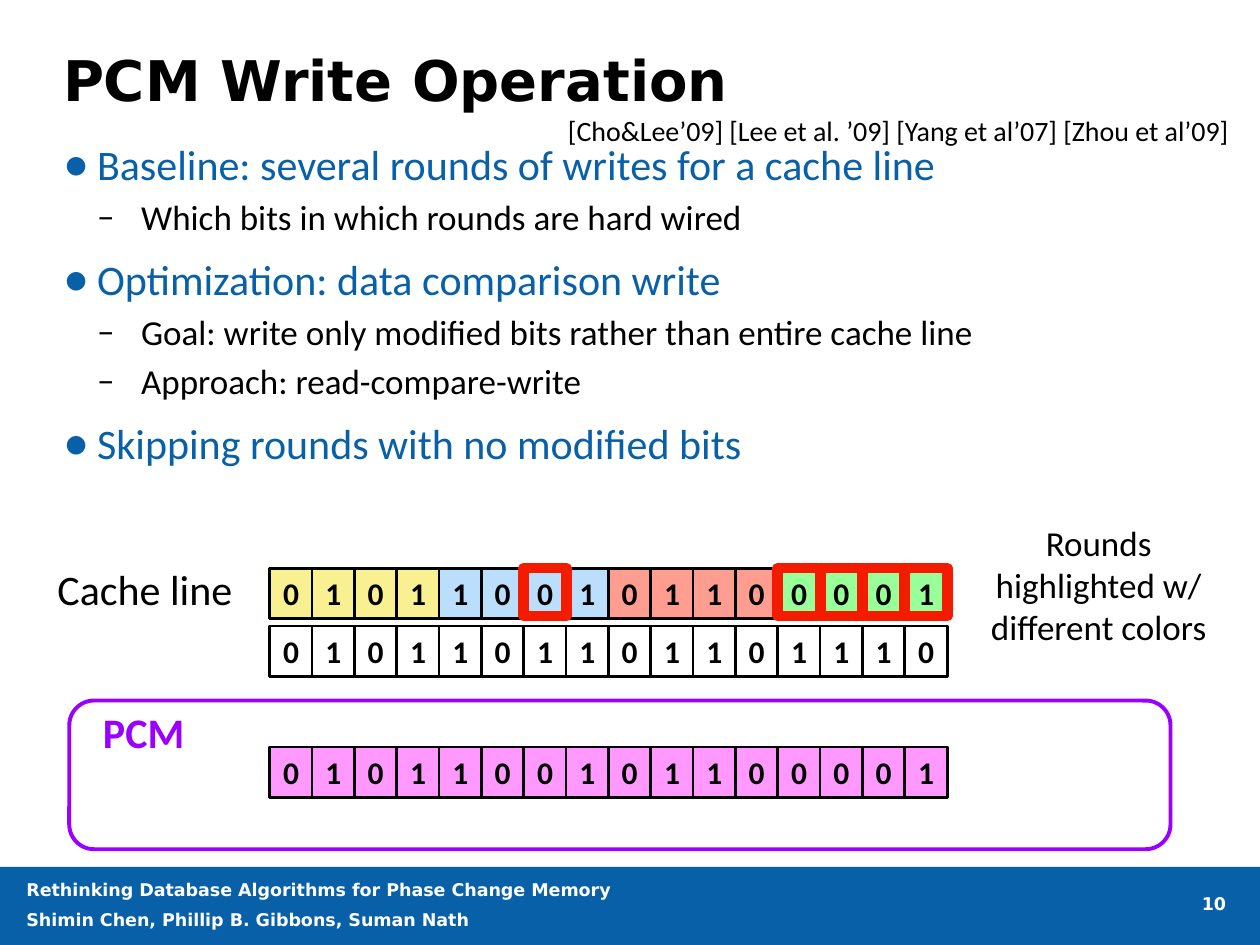
from lxml import etree
from pptx import Presentation
from pptx import util as u
from pptx.dml.color import RGBColor
from pptx.enum import shapes, text
from pptx.oxml.ns import qn

Inches, Pt = u.Inches, u.Pt
SHAPE, ALIGN, ANCHOR = shapes.MSO_SHAPE, text.PP_ALIGN, text.MSO_ANCHOR
rgb = RGBColor.from_string

prs = Presentation()
prs.slide_width, prs.slide_height = Inches(10), Inches(7.5)
s = prs.slides.add_slide(prs.slide_layouts[6])


def add_box(kind, x, y, w, h, fill=None, line=None, weight=1.5):
    sp = s.shapes.add_shape(kind, Inches(x), Inches(y), Inches(w), Inches(h))
    sp.shadow.inherit = False
    if fill:
        sp.fill.solid()
        sp.fill.fore_color.rgb = rgb(fill)
    else:
        sp.fill.background()
    if line:
        sp.line.color.rgb = rgb(line)
        sp.line.width = Pt(weight)
    else:
        sp.line.fill.background()
    return sp


def write(sp, content, size, color="000000", font="Calibri", bold=False,
          align=ALIGN.LEFT, anchor=ANCHOR.TOP, inset=True, wrap=True):
    """Set the text of a shape and give all its paragraphs one format."""
    tf = sp.text_frame
    tf.text = content
    tf.word_wrap = wrap
    tf.vertical_anchor = anchor
    if not inset:
        tf.margin_left = tf.margin_right = tf.margin_top = tf.margin_bottom = 0
    for p in tf.paragraphs:
        p.alignment = align
        for r in p.runs:
            f = r.font
            f.size, f.name, f.bold = Pt(size), font, bold
            f.color.rgb = rgb(color)
    return tf


# Title and footer
add_box(SHAPE.RECTANGLE, 0, 6.88, 10, 0.62, "0860A8")
title = s.shapes.add_textbox(Inches(0.5), Inches(0.3), Inches(9.01), Inches(0.65))
write(title, "PCM Write Operation", 32, font="DejaVu Sans", bold=True,
      anchor=ANCHOR.MIDDLE, inset=False)
footer = s.shapes.add_textbox(Inches(0.21), Inches(6.98), Inches(6.52), Inches(0.42))
tf = write(footer, "Rethinking Database Algorithms for Phase Change Memory\n"
           "Shimin Chen, Phillip B. Gibbons, Suman Nath", 10, "FFFFFF",
           "DejaVu Sans", True, inset=False)
tf.paragraphs[1].space_before = Pt(5)
number = s.shapes.add_textbox(Inches(9.28), Inches(7.09), Inches(0.45), Inches(0.24))
write(number, "10", 10, "FFFFFF", "DejaVu Sans", True, ALIGN.RIGHT, inset=False)

# Bulleted body
bullets = [
    (0, "Baseline: several rounds of writes for a cache line"),
    (1, "Which bits in which rounds are hard wired"),
    (0, "Optimization: data comparison write"),
    (1, "Goal: write only modified bits rather than entire cache line"),
    (1, "Approach: read-compare-write"),
    (0, "Skipping rounds with no modified bits"),
]
# per level: size, colour, space before, left margin, hanging indent, bullet, bullet scale
levels = [(24, "0860A8", 8.8, 0.27, 0.27, "•", 125), (20, "000000", 4, 0.62, 0.35, "–", 100)]
body = s.shapes.add_textbox(Inches(0.5), Inches(1.1), Inches(9.01), Inches(3.23))
tf = write(body, "\n".join(t for _, t in bullets), 24, inset=False)
for i, (p, (level, _)) in enumerate(zip(tf.paragraphs, bullets)):
    size, color, before, left, hang, mark, scale = levels[level]
    p.level = level
    p.space_before = Pt(before if i else 0)
    p.runs[0].font.size = Pt(size)
    p.runs[0].font.color.rgb = rgb(color)
    pPr = p._p.get_or_add_pPr()
    pPr.set("marL", str(Inches(left)))
    pPr.set("indent", str(-Inches(hang)))
    etree.SubElement(pPr, qn("a:buSzPct")).set("val", str(scale * 1000))
    etree.SubElement(pPr, qn("a:buFont")).set("typeface", "Calibri")
    etree.SubElement(pPr, qn("a:buChar")).set("char", mark)

# Memory frame and bit rows
add_box(SHAPE.ROUNDED_RECTANGLE, 0.55, 5.56, 8.74, 1.18, line="9900FF", weight=2.25)
row_left, pitch, cell_w = 2.14, 5.04 / 15, 0.34
round_fills = ["F9F091", "BADEFC", "FF9D91", "99FF99"]
rows = [
    (4.51, "0101100101100001", round_fills),
    (4.97, "0101101101101110", ["FFFFFF"] * 4),
    (5.93, "0101100101100001", ["FF99FF"] * 4),
]
for top, bits, fills in rows:
    for i, bit in enumerate(bits):
        cell = add_box(SHAPE.RECTANGLE, row_left + i * pitch, top, cell_w, 0.4,
                       fills[i // 4], "000000")
        write(cell, bit, 18, bold=True, align=ALIGN.CENTER, anchor=ANCHOR.MIDDLE, wrap=False)

# Outline the bits that differ between the cache line and the stored line
for i, (new, old) in enumerate(zip(rows[0][1], rows[1][1])):
    if new != old:
        add_box(SHAPE.RECTANGLE, row_left + i * pitch, 4.51, cell_w, 0.38,
                line="F41C00", weight=6)

# Labels
labels = [
    (0.55, 5.56, 1.18, 0.5, "PCM", 24, "9900FF", True, ALIGN.CENTER),
    (4.41, 0.85, 5.46, 0.37, "[Cho&Lee’09] [Lee et al. ’09] [Yang et al’07] [Zhou et al’09]",
     16, "000000", False, ALIGN.LEFT),
    (0.29, 4.42, 1.72, 0.5, "Cache line", 24, "000000", False, ALIGN.CENTER),
    (7.69, 4.09, 2.06, 1.11, "Rounds highlighted w/ different colors",
     20, "000000", False, ALIGN.CENTER),
]
for x, y, w, h, label, size, color, bold, align in labels:
    sp = s.shapes.add_textbox(Inches(x), Inches(y), Inches(w), Inches(h))
    write(sp, label, size, color, bold=bold, align=align)

prs.save("out.pptx")
